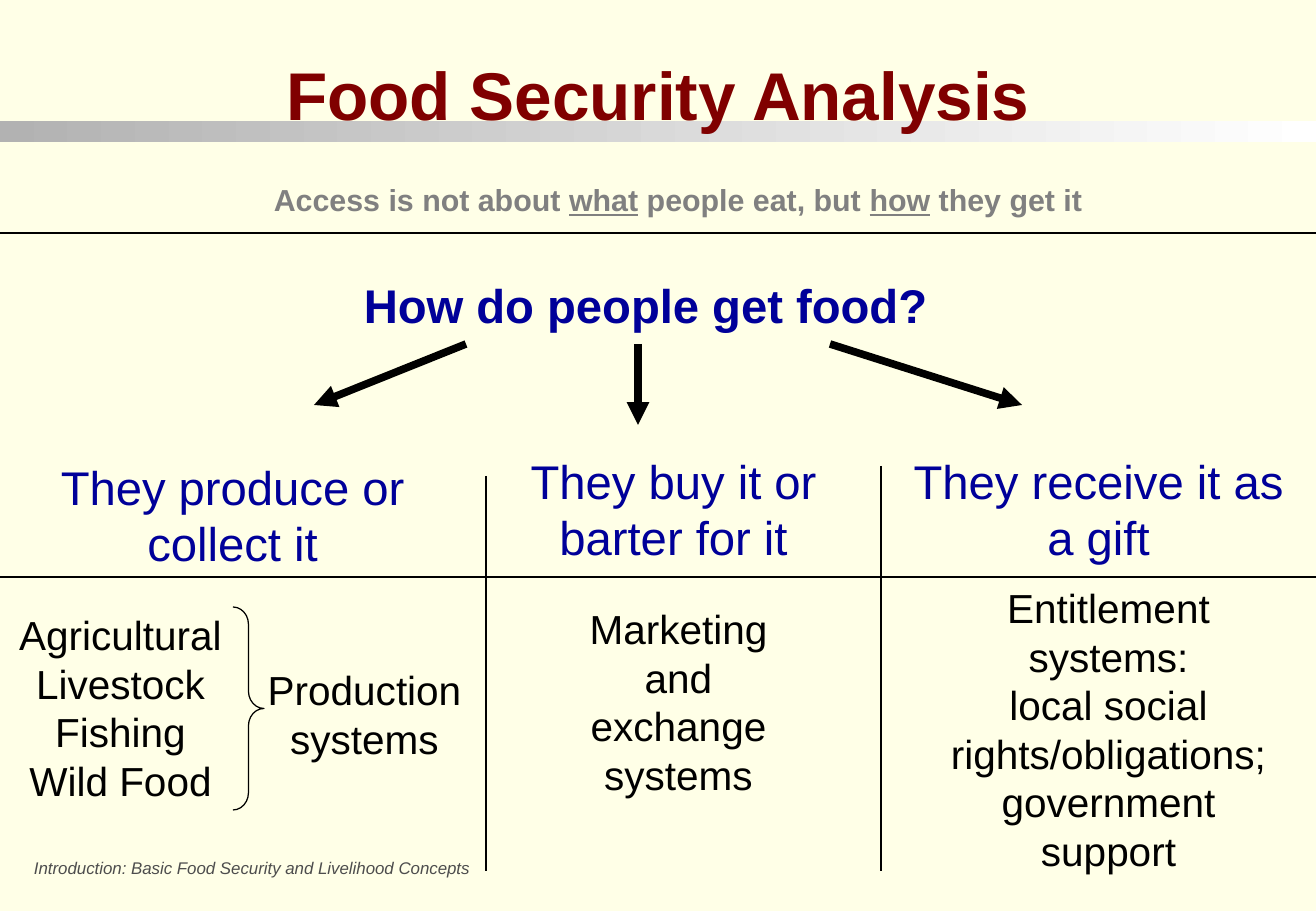
from lxml import etree
from pptx import Presentation
from pptx.dml.color import RGBColor
from pptx.enum.shapes import MSO_CONNECTOR, MSO_SHAPE
from pptx.enum.text import MSO_ANCHOR, PP_ALIGN
from pptx.oxml.ns import qn
from pptx.util import Emu, Pt

STRAIGHT = MSO_CONNECTOR.STRAIGHT
RECTANGLE = MSO_SHAPE.RECTANGLE
RIGHT_BRACE = MSO_SHAPE.RIGHT_BRACE
TOP = MSO_ANCHOR.TOP
CENTER = PP_ALIGN.CENTER
LEFT = PP_ALIGN.LEFT

CREAM = RGBColor(0xFF, 0xFF, 0xE7)
MAROON = RGBColor(0x80, 0x00, 0x00)
NAVY = RGBColor(0x00, 0x00, 0x99)
BLACK = RGBColor(0x00, 0x00, 0x00)
WHITE = RGBColor(0xFF, 0xFF, 0xFF)
SILVER = RGBColor(0xB2, 0xB2, 0xB2)
GRAY = RGBColor(0x80, 0x80, 0x80)
DARK_GRAY = RGBColor(0x4D, 0x4D, 0x4D)

EMU_PER_PIXEL = 914400 / 121.5
WIDTH, HEIGHT = 1316, 911


def pixels(*lengths):
    return [Emu(round(length * EMU_PER_PIXEL)) for length in lengths]


class SlideBuilder:
    font_name = "Arial"

    def __init__(self, slide):
        self.slide = slide
        slide.background.fill.solid()
        slide.background.fill.fore_color.rgb = CREAM

    def fill_text(self, shape, lines, size, color, bold=False, italic=False,
                  align=CENTER, wrap=True):
        frame = shape.text_frame
        frame.word_wrap = wrap
        frame.vertical_anchor = TOP
        frame.text = "\n".join(lines)
        for paragraph in frame.paragraphs:
            paragraph.alignment = align
            font = paragraph.font
            font.name = self.font_name
            font.size = Pt(size)
            font.bold = bold
            font.italic = italic
            font.color.rgb = color
        return frame

    def title(self, box, text, size, color):
        shape = self.slide.shapes.title
        shape.left, shape.top, shape.width, shape.height = pixels(*box)
        self.fill_text(shape, [text], size, color, bold=True)

    def text(self, box, lines, size, color, **style):
        shape = self.slide.shapes.add_textbox(*pixels(*box))
        return self.fill_text(shape, lines, size, color, **style)

    def gradient_bar(self, box, start, end):
        bar = self.slide.shapes.add_shape(RECTANGLE, *pixels(*box))
        bar.shadow.inherit = False
        bar.line.fill.background()
        bar.fill.gradient()
        bar.fill.gradient_angle = 0
        for stop, color in zip(bar.fill.gradient_stops, (start, end)):
            stop.color.rgb = color
        self.slide.shapes.title.element.addprevious(bar.element)

    def brace(self, box, curve):
        brace = self.slide.shapes.add_shape(RIGHT_BRACE, *pixels(*box))
        brace.shadow.inherit = False
        brace.fill.background()
        brace.line.color.rgb = BLACK
        brace.line.width = Pt(0.75)
        brace.adjustments[0] = curve

    def line(self, start, end, weight=0.75):
        line = self.slide.shapes.add_connector(STRAIGHT, *pixels(*start, *end))
        line.line.color.rgb = BLACK
        line.line.width = Pt(weight)
        etree.SubElement(line.element.spPr, qn("a:effectLst"))
        return line

    def arrow(self, start, end):
        arrow = self.line(start, end, 4.5)
        outline = arrow.element.spPr.find(qn("a:ln"))
        etree.SubElement(outline, qn("a:tailEnd"), type="triangle")


presentation = Presentation()
presentation.slide_width, presentation.slide_height = pixels(WIDTH, HEIGHT)
title_only = presentation.slide_layouts[5]
builder = SlideBuilder(presentation.slides.add_slide(title_only))

builder.title((10, 47, 1296, 94), "Food Security Analysis", 40, MAROON)
builder.gradient_bar((0, 121, WIDTH, 21), SILVER, WHITE)
builder.text((22, 852, 464, 33),
             ["Introduction: Basic Food Security and Livelihood Concepts"],
             10, DARK_GRAY, italic=True, align=LEFT)

message = builder.text((253, 175, 850, 49), [""], 18, GRAY, bold=True)
for words, underlined in (("Access is not about ", False), ("what", True),
                          (" people eat, but ", False), ("how", True),
                          (" they get it", False)):
    run = message.paragraphs[0].add_run()
    run.text = words
    run.font.underline = underlined

builder.text((351, 270, 589, 69), ["How do people get food?"], 28, NAVY,
             bold=True, wrap=False)

for box, answer in (((20, 452, 425, 125), "They produce or collect it"),
                    ((476, 446, 395, 125), "They buy it or barter for it"),
                    ((901, 446, 395, 125), "They receive it as a gift")):
    builder.text(box, [answer], 28, NAVY)

for rule_y in (233, 577):
    builder.line((0, rule_y), (WIDTH, rule_y))
for divider_x, divider_top in ((486, 476), (881, 466)):
    builder.line((divider_x, divider_top), (divider_x, 871))
for start, end in (((466, 344), (314, 405)),
                   ((638, 344), (638, 425)),
                   ((830, 344), (1022, 405))):
    builder.arrow(start, end)

builder.brace((233, 607, 31, 203), 0.56)
builder.text((7, 604, 227, 207),
             ["Agricultural", "Livestock", "Fishing", "Wild Food"],
             24, BLACK, wrap=False)
for box, system in (
        ((253, 659, 223, 109), "Production systems"),
        ((567, 598, 223, 207), "Marketing and exchange systems"),
        ((921, 577, 375, 304), "Entitlement systems:\vlocal social "
                               "rights/obligations; government support")):
    builder.text(box, [system], 24, BLACK)

presentation.save("out.pptx")
